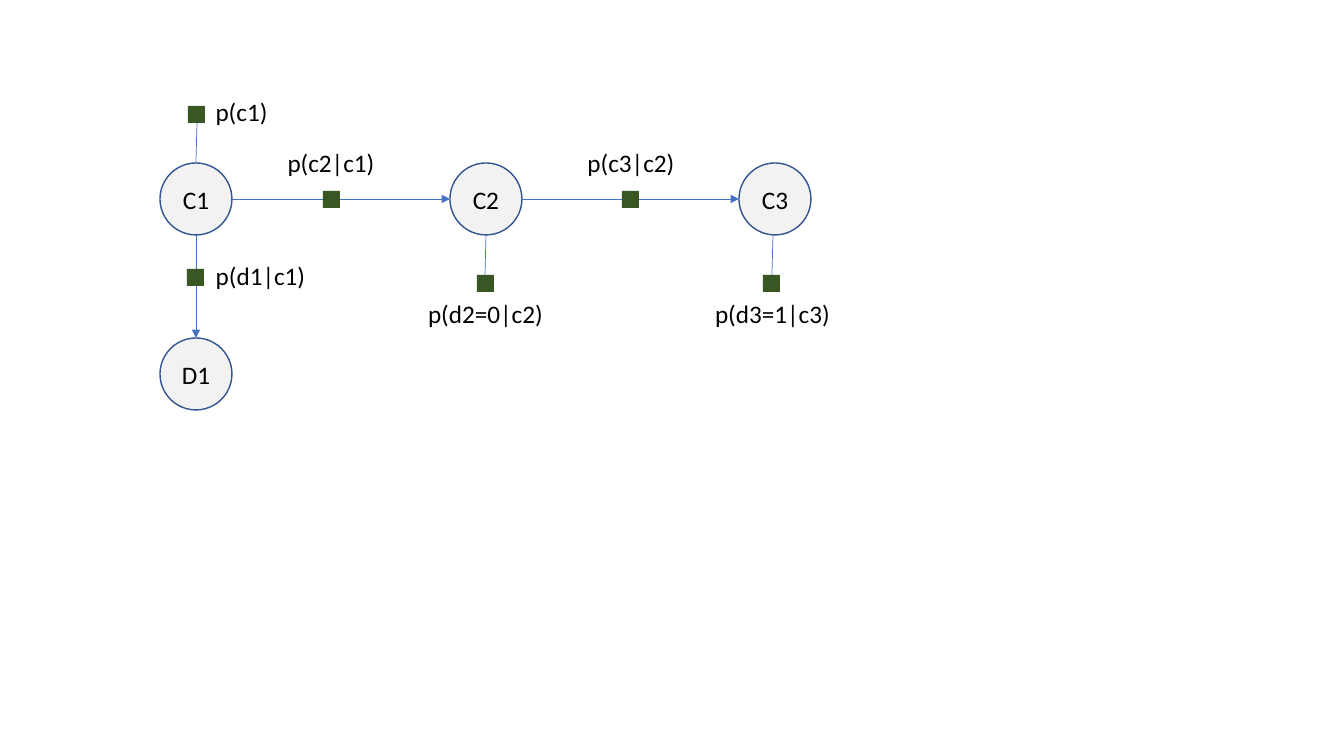
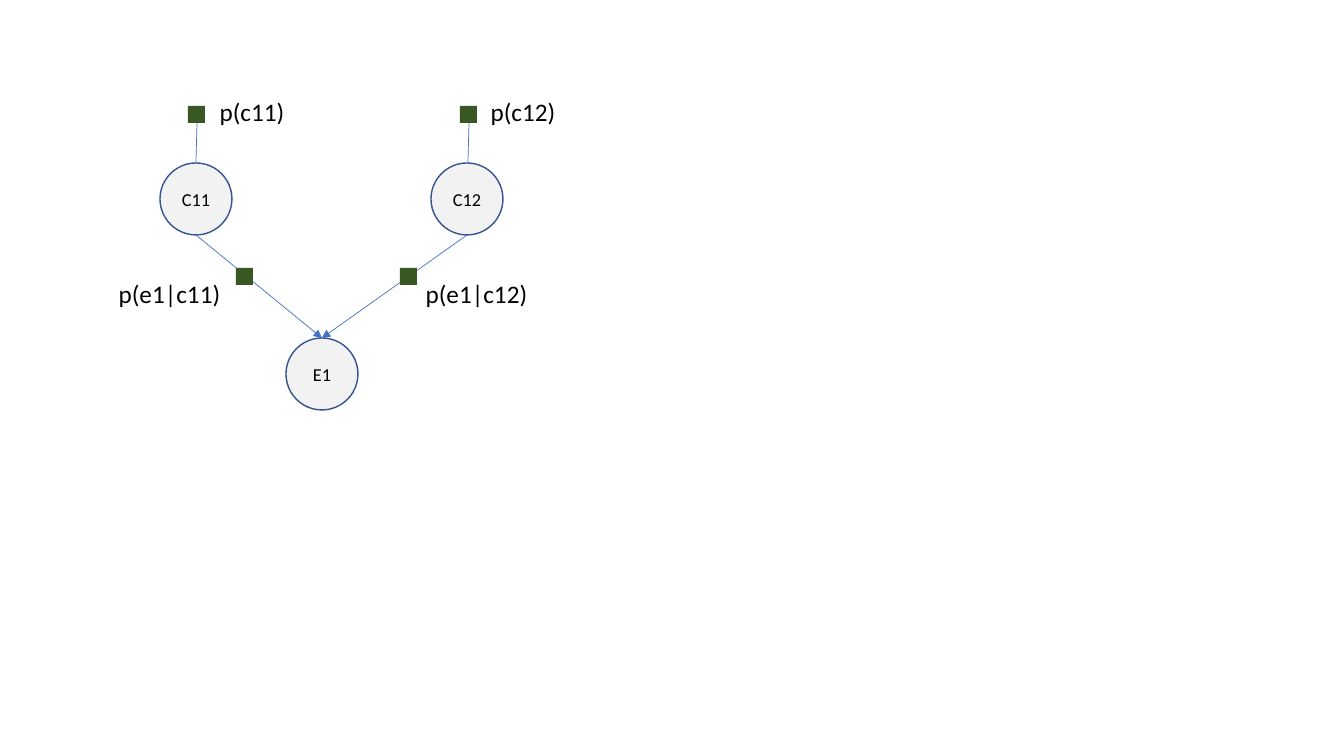
from lxml import etree
from pptx import Presentation
from pptx.dml.color import RGBColor
from pptx.enum.shapes import MSO_CONNECTOR, MSO_SHAPE
from pptx.enum.text import MSO_ANCHOR, MSO_AUTO_SIZE, PP_ALIGN
from pptx.oxml.ns import qn
from pptx.util import Pt

OVAL, RECT = MSO_SHAPE.OVAL, MSO_SHAPE.RECTANGLE
LINE = MSO_CONNECTOR.STRAIGHT
MIDDLE, CENTER = MSO_ANCHOR.MIDDLE, PP_ALIGN.CENTER
GROW = MSO_AUTO_SIZE.SHAPE_TO_FIT_TEXT

GRAY = RGBColor(0xF2, 0xF2, 0xF2)
NAVY = RGBColor(0x32, 0x54, 0x91)
BLUE = RGBColor(0x44, 0x72, 0xC4)
GREEN = RGBColor(0x38, 0x57, 0x23)
BLACK = RGBColor(0, 0, 0)
FONT = "Calibri"
SCALE = 914400 / 100.8
NODE, FACTOR, LABEL = 72, 17, 40
TOP, LOW = 163, 338
MID, BASE = TOP + NODE // 2, TOP + NODE


def px(*sizes):
    return [round(size * SCALE) for size in sizes]


def write(shape, text, size):
    frame = shape.text_frame
    frame.word_wrap = False
    frame.text = text
    para = frame.paragraphs[0]
    para.alignment = CENTER
    font = para.runs[0].font
    font.name, font.size = FONT, Pt(size)
    font.color.rgb = BLACK


chain = {
    "size": 18,
    "nodes": [("D1", 160, LOW), ("C1", 160, TOP), ("C2", 450, TOP), ("C3", 739, TOP)],
    "arrows": [(232, MID, 450, MID), (521, MID, 739, MID), (196, BASE, 196, LOW)],
    "lines": [(196, TOP, 197, 123), (485, 275, 486, BASE), (772, 275, 773, BASE)],
    "factors": [(188, 106), (187, 269), (323, 191), (622, 191), (477, 275), (763, 275)],
    "labels": [
        ("p(c1)", 205, 91, 73),
        ("p(d1|c1)", 205, 255, 111),
        ("p(c2|c1)", 277, 142, 108),
        ("p(c3|c2)", 577, 142, 108),
        ("p(d2=0|c2)", 417, 293, 137),
        ("p(d3=1|c3)", 704, 293, 137),
    ],
}
merge = {
    "size": 13,
    "nodes": [("E1", 286, LOW), ("C11", 160, TOP), ("C12", 431, TOP)],
    "arrows": [(196, BASE, 322, LOW), (467, BASE, 322, LOW)],
    "lines": [(196, TOP, 197, 123), (468, TOP, 469, 123)],
    "factors": [(188, 106), (460, 106), (236, 268), (400, 268)],
    "labels": [
        ("p(c11)", 209, 91, 86),
        ("p(c12)", 480, 91, 86),
        ("p(e1|c11)", 108, 273, 123),
        ("p(e1|c12)", 415, 273, 123),
    ],
}

deck = Presentation()
deck.slide_width, deck.slide_height = px(1344, 756)

for graph in (chain, merge):
    slide = deck.slides.add_slide(deck.slide_layouts[6])
    shapes = slide.shapes

    for text, x, y in graph["nodes"]:
        node = shapes.add_shape(OVAL, *px(x, y, NODE, NODE))
        node.shadow.inherit = False
        node.fill.solid()
        node.fill.fore_color.rgb = GRAY
        node.line.color.rgb = NAVY
        node.line.width = Pt(1)
        node.text_frame.vertical_anchor = MIDDLE
        write(node, text, graph["size"])

    for kind in ("arrows", "lines"):
        for ends in graph[kind]:
            link = shapes.add_connector(LINE, *px(*ends))
            link.line.color.rgb = BLUE
            link.line.width = Pt(0.5)
            if kind == "arrows":
                pen = link.line._get_or_add_ln()
                etree.SubElement(pen, qn("a:tailEnd"), type="triangle")
            etree.SubElement(link._element.spPr, qn("a:effectLst"))

    for x, y in graph["factors"]:
        factor = shapes.add_shape(RECT, *px(x, y, FACTOR, FACTOR))
        factor.shadow.inherit = False
        factor.fill.solid()
        factor.fill.fore_color.rgb = GREEN
        factor.line.fill.background()

    for text, x, y, width in graph["labels"]:
        label = shapes.add_textbox(*px(x, y, width, LABEL))
        write(label, text, 18)
        label.text_frame.auto_size = GROW

deck.save("out.pptx")
